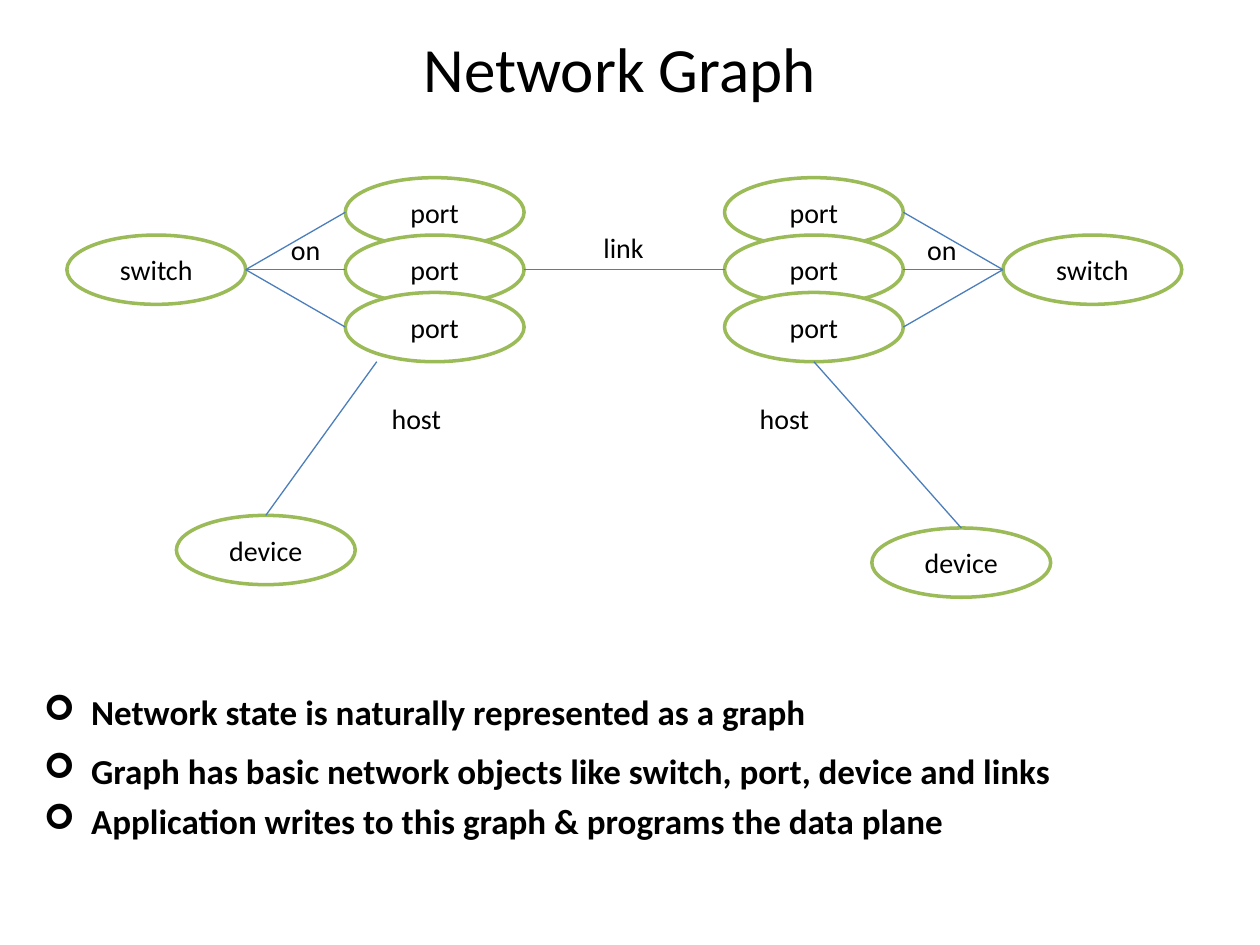
import pptx
import pptx.util
import pptx.dml.color
import pptx.enum.shapes
import pptx.enum.text
import pptx.oxml.ns
from lxml import etree

Pt = pptx.util.Pt
Align = pptx.enum.text.PP_ALIGN
Anchor = pptx.enum.text.MSO_ANCHOR

COLORS = {"text": "000000", "node": "FFFFFF", "outline": "9BBB59", "edge": "4B7EBC"}
FONT = "Calibri"
NODE_WIDTH, NODE_HEIGHT = 102.2, 39.6
PORT_TOP, PORT_STEP = 101.5, 32.8
SWITCH_TOP = PORT_TOP + PORT_STEP

TITLE = "Network Graph"
# Left edges of each side's ports and switch, then its device position
SIDES = {
    "left": {"ports": 197.3, "switch": 38.2, "device": (100.8, 294.5)},
    "right": {"ports": 414, "switch": 573.1, "device": (498.2, 301.7)},
}
# Text, left, top, width
LABELS = [
    ("on", 159.1, 129.6, 35.3),
    ("link", 337.7, 128.2, 42.5),
    ("on", 522.7, 129.6, 35.3),
    ("host", 216.7, 226.1, 49),
    ("host", 427, 226.1, 49),
]
# Text, line spacing
BULLETS = [
    ("Network state is naturally represented as a graph", 1.4),
    ("Graph has basic network objects like switch, port, device and links", 1.4),
    ("Application writes to this graph & programs the data plane", 1.2),
]

presentation = pptx.Presentation()
presentation.slide_width, presentation.slide_height = Pt(720), Pt(540)
slide = presentation.slides.add_slide(presentation.slide_layouts[6])


def rgb(name):
    """Return a named colour."""
    return pptx.dml.color.RGBColor.from_string(COLORS[name])


def add_run(paragraph, text, size, bold=False):
    """Add one styled run."""
    run = paragraph.add_run()
    run.text = text
    run.font.name, run.font.size, run.font.bold = FONT, Pt(size), bold
    run.font.color.rgb = rgb("text")


def add_box(left, top, width, height):
    """Add a wrapping text box and return its text frame."""
    box = slide.shapes.add_textbox(Pt(left), Pt(top), Pt(width), Pt(height))
    box.text_frame.word_wrap = True
    return box.text_frame


def add_node(text, left, top):
    """Add an outlined ellipse with a centred name."""
    shape = slide.shapes.add_shape(
        pptx.enum.shapes.MSO_SHAPE.OVAL, Pt(left), Pt(top), Pt(NODE_WIDTH), Pt(NODE_HEIGHT))
    shape.shadow.inherit = False
    shape.fill.solid()
    shape.fill.fore_color.rgb = rgb("node")
    shape.line.color.rgb = rgb("outline")
    shape.line.width = Pt(2)
    frame = shape.text_frame
    frame.word_wrap = False
    frame.vertical_anchor = Anchor.MIDDLE
    frame.paragraphs[0].alignment = Align.CENTER
    add_run(frame.paragraphs[0], text, 16)


def add_edge(start, end):
    """Join two points with a thin line."""
    connector = slide.shapes.add_connector(
        pptx.enum.shapes.MSO_CONNECTOR.STRAIGHT, *(Pt(value) for value in (*start, *end)))
    connector.line.color.rgb = rgb("edge")
    connector.line.width = Pt(0.75)
    properties = connector._element.spPr
    etree.SubElement(properties, pptx.oxml.ns.qn("a:effectLst"))


def add_bullet(paragraph, text, spacing):
    """Fill a paragraph with a hanging arrow bullet and bold text."""
    paragraph.line_spacing = spacing
    properties = paragraph._p.get_or_add_pPr()
    properties.set("marL", str(Pt(27)))
    properties.set("indent", str(-Pt(27)))
    etree.SubElement(properties, pptx.oxml.ns.qn("a:buFont")).set("typeface", "Wingdings")
    etree.SubElement(properties, pptx.oxml.ns.qn("a:buChar")).set("char", "\u27a2")
    add_run(paragraph, text, 20, True)


title = add_box(48.2, 17.3, 612, 41.8)
title.vertical_anchor = Anchor.MIDDLE
title.paragraphs[0].alignment = Align.CENTER
add_run(title.paragraphs[0], TITLE, 36)

port_tops = [PORT_TOP + row * PORT_STEP for row in range(3)]
middle = SWITCH_TOP + NODE_HEIGHT / 2
ports_bottom = port_tops[-1] + NODE_HEIGHT
for side, place in SIDES.items():
    ports, switch, device = place["ports"], place["switch"], place["device"]
    for top in port_tops:
        add_node("port", ports, top)
    add_node("switch", switch, SWITCH_TOP)
    add_node("device", *device)
    if side == "left":
        switch_x, port_x, host_x = switch + NODE_WIDTH, ports, 215.3
    else:
        switch_x, port_x, host_x = switch, ports + NODE_WIDTH, ports + NODE_WIDTH / 2
    for top in port_tops:
        add_edge((switch_x, middle), (port_x, top + NODE_HEIGHT / 2))
    add_edge((device[0] + NODE_WIDTH / 2, device[1]), (host_x, ports_bottom))

add_edge((SIDES["left"]["ports"] + NODE_WIDTH, middle), (SIDES["right"]["ports"], middle))

for text, left, top, width in LABELS:
    add_run(add_box(left, top, width, 31).paragraphs[0], text, 16)

bullets = add_box(18, 381.6, 686.9, 103.7)
for index, (text, spacing) in enumerate(BULLETS):
    paragraph = bullets.add_paragraph() if index else bullets.paragraphs[0]
    add_bullet(paragraph, text, spacing)

presentation.save("out.pptx")
